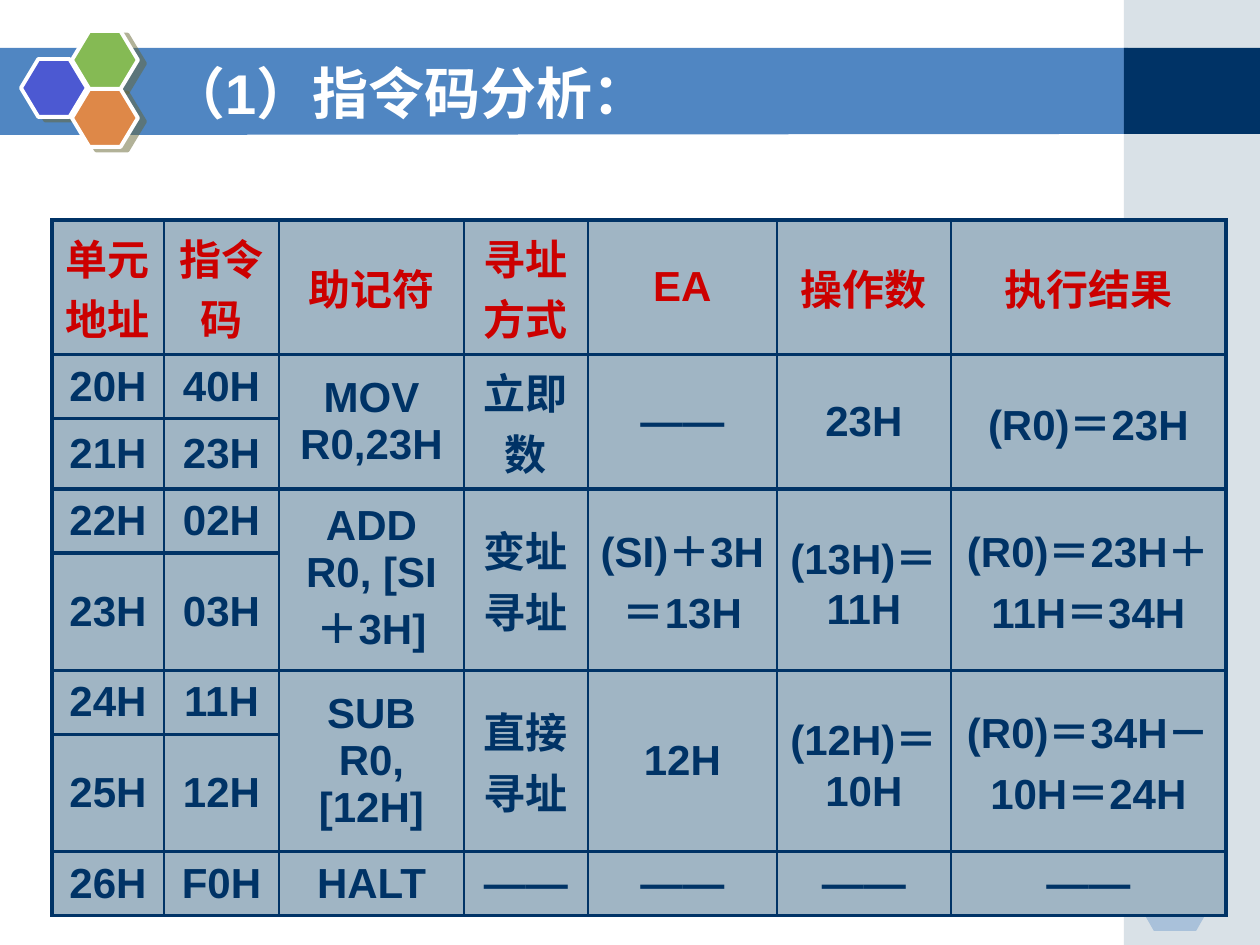
import pptx
import pptx.util
import pptx.dml.color
import pptx.enum.shapes
import pptx.enum.text
import pptx.oxml
import pptx.oxml.ns

RGB = pptx.dml.color.RGBColor
NAVY = RGB(0x00, 0x33, 0x66)
BLUE = RGB(0x50, 0x86, 0xC2)
GREY = RGB(0xA0, 0xB5, 0xC4)
RED = RGB(0xCC, 0x00, 0x00)
WHITE = RGB(0xFF, 0xFF, 0xFF)
VIOLET = RGB(0x4C, 0x59, 0xD2)
GREEN = RGB(0x85, 0xBA, 0x54)
ORANGE = RGB(0xDE, 0x88, 0x48)
OLIVE = RGB(0x66, 0x66, 0x33)

SCALE = 914400 / 126
RECT = pptx.enum.shapes.MSO_SHAPE.RECTANGLE
HEX = pptx.enum.shapes.MSO_SHAPE.HEXAGON
MIDDLE = pptx.enum.text.MSO_ANCHOR.MIDDLE
ALIGN = pptx.enum.text.PP_ALIGN

COLS = [112, 115, 185, 124, 189, 174, 275]
ROWS = [113, 64, 64, 64, 64, 64, 68, 64]
DASH = "――"
HEADS = ["单元地址", "指令码", "助记符", "寻址方式", "EA", "操作数", "执行结果"]
CODES = [
    ("20H", "40H"), ("21H", "23H"), ("22H", "02H"), ("23H", "03H"),
    ("24H", "11H"), ("25H", "12H"), ("26H", "F0H"),
]
STEPS = {
    1: ["MOV R0,23H", "立即数", DASH, "23H", "(R0)＝23H"],
    3: ["ADD R0, [SI＋3H]", "变址寻址", "(SI)＋3H＝13H", "(13H)＝11H",
        "(R0)＝23H＋11H＝34H"],
    5: ["SUB R0, [12H]", "直接寻址", "12H", "(12H)＝10H",
        "(R0)＝34H－10H＝24H"],
    7: ["HALT", DASH, DASH, DASH, DASH],
}


def px(num):
    return pptx.util.Emu(round(num * SCALE))


def parse(text):
    space = pptx.oxml.ns.nsdecls("a")
    return pptx.oxml.parse_xml(text.replace(" ", f" {space} ", 1))


def paint(shape, color, alpha=100):
    shape.shadow.inherit = False
    shape.fill.solid()
    shape.fill.fore_color.rgb = color
    shape.line.fill.background()
    if alpha < 100:
        tone = shape.element.spPr.find(".//" + pptx.oxml.ns.qn("a:srgbClr"))
        tone.append(parse(f'<a:alpha val="{alpha * 1000}"/>'))


def block(slide, kind, box, color, alpha=100):
    shape = slide.shapes.add_shape(kind, *map(px, box))
    paint(shape, color, alpha)
    return shape


def band(slide):
    pen = slide.shapes.build_freeform(-1, 48, SCALE)
    pen.add_line_segments([(1128, 48), (1128, 134), (-1, 135)])
    paint(pen.convert_to_shape(), BLUE)


def badge(slide, left, top, color):
    shape = block(slide, HEX, (left, top, 66, 58), color)
    shape.adjustments[0] = 0.3
    shape.line.color.rgb = WHITE
    shape.line.width = pptx.util.Pt(2.25)
    glow = shape.element.spPr.find(pptx.oxml.ns.qn("a:effectLst"))
    dist, turn = pptx.util.Pt(4.5), 27 * 60000
    glow.append(parse(
        f'<a:outerShdw dist="{dist}" dir="{turn}" algn="ctr" rotWithShape="0">'
        f'<a:srgbClr val="{OLIVE}"><a:alpha val="50000"/></a:srgbClr>'
        '</a:outerShdw>'))


def style(para, size, color, align):
    para.alignment = align
    para.font.name = "Arial"
    para.font.size = pptx.util.Pt(size)
    para.font.bold = True
    para.font.color.rgb = color


def head(slide, text):
    title = slide.shapes.title
    title.left, title.top, title.width, title.height = map(
        px, (157, 71, 924, 42))
    frame = title.text_frame
    frame.text = text
    frame.auto_size = pptx.enum.text.MSO_AUTO_SIZE.NONE
    frame.vertical_anchor = MIDDLE
    style(frame.paragraphs[0], 32, WHITE, ALIGN.LEFT)
    title.element.getparent().append(title.element)


def edge(cell, side, width):
    cell._tc.get_or_add_tcPr().append(parse(
        f'<a:ln{side} w="{pptx.util.Pt(width)}"><a:solidFill>'
        f'<a:srgbClr val="{NAVY}"/></a:solidFill></a:ln{side}>'))


def frame_cell(cell, col):
    edge(cell, "L", 2.25 if col == 0 else 1)
    edge(cell, "R", 2.25 if col == len(COLS) - 1 else 1)
    edge(cell, "T", 2.25)
    edge(cell, "B", 2.25)
    cell.fill.solid()
    cell.fill.fore_color.rgb = GREY
    cell.vertical_anchor = MIDDLE


def write(cell, text, color):
    cell.text = text
    style(cell.text_frame.paragraphs[0], 24, color, ALIGN.CENTER)


def grid(slide):
    box = map(px, (52, 220, sum(COLS), sum(ROWS)))
    table = slide.shapes.add_table(len(ROWS), len(COLS), *box).table
    for col, width in zip(table.columns, COLS):
        col.width = px(width)
    for row, height in zip(table.rows, ROWS):
        row.height = px(height)
    for row in range(len(ROWS)):
        for col in range(len(COLS)):
            frame_cell(table.cell(row, col), col)
    for col, text in enumerate(HEADS):
        write(table.cell(0, col), text, RED)
    for row, pair in enumerate(CODES, 1):
        for col, text in enumerate(pair):
            write(table.cell(row, col), text, NAVY)
    for row, texts in STEPS.items():
        for col, text in enumerate(texts, 2):
            cell = table.cell(row, col)
            write(cell, text, NAVY)
            if row + 1 < len(ROWS):
                cell.merge(table.cell(row + 1, col))


def main():
    deck = pptx.Presentation()
    deck.slide_width, deck.slide_height = px(1260), px(945)
    slide = deck.slides.add_slide(deck.slide_layouts[5])
    band(slide)
    block(slide, RECT, (1124, 0, 136, 945), GREY, 40)
    block(slide, RECT, (1124, 48, 136, 86), NAVY)
    for left, top in [(1061, 819), (1134, 777), (1133, 858)]:
        shape = block(slide, HEX, (left, top, 84, 73), BLUE, 35)
        shape.adjustments[0] = 0.286
    badge(slide, 21, 59, VIOLET)
    badge(slide, 72, 31, GREEN)
    badge(slide, 72, 89, ORANGE)
    head(slide, "（1）指令码分析：")
    grid(slide)
    deck.save("out.pptx")


if __name__ == "__main__":
    main()
